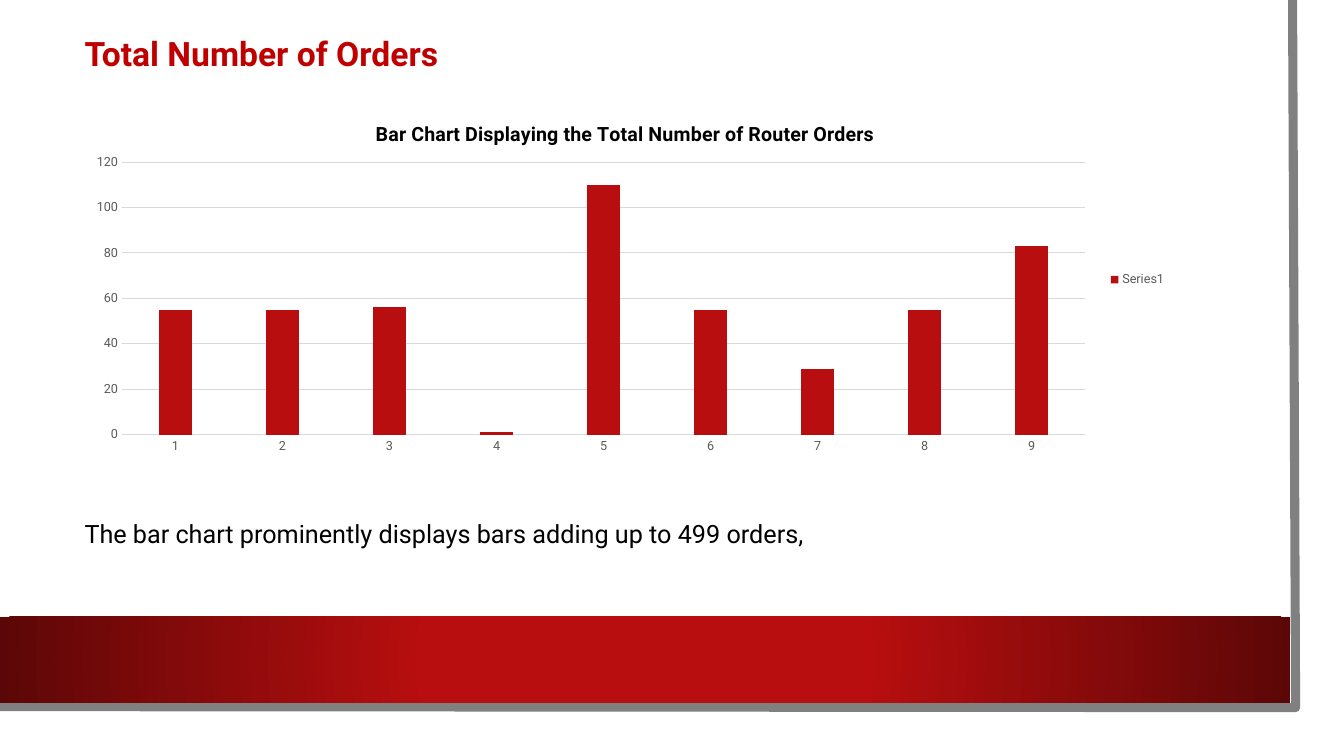
from dataclasses import dataclass

from lxml import etree
from pptx import Presentation
from pptx.chart.data import CategoryChartData
from pptx.dml.color import RGBColor
from pptx.enum.chart import XL_CHART_TYPE as ChartType
from pptx.enum.chart import XL_LEGEND_POSITION as LegendPosition
from pptx.enum.chart import XL_TICK_MARK as TickMark
from pptx.enum.shapes import MSO_SHAPE as Preset
from pptx.oxml import parse_xml
from pptx.oxml.ns import nsdecls, qn
from pptx.util import Emu, Pt

PX = 9144  # 100 px to the inch


@dataclass(frozen=True)
class Theme:
    font: str = "Roboto"
    paper: str = "FFFFFF"
    ink: str = "000000"
    heading: str = "C00000"
    accent: str = "B80E0F"
    accent_dark: str = "5C0707"
    frame: str = "808080"
    label: str = "595959"
    grid: str = "D9D9D9"
    heading_size: int = 24
    body_size: int = 18
    chart_title_size: int = 14
    label_size: int = 9


THEME = Theme()
ORDERS = [55, 55, 56, 1, 110, 55, 29, 55, 83]


def px(*lengths):
    return [Emu(length * PX) for length in lengths]


def rgb(code):
    return RGBColor.from_string(code)


def style_font(font, size, color, bold=False):
    font.name = THEME.font
    font.size = Pt(size)
    font.color.rgb = rgb(color)
    font.bold = bold


def add_panel(slide, box):
    panel = slide.shapes.add_shape(Preset.RECTANGLE, *px(*box))
    panel.shadow.inherit = False
    panel.line.fill.background()
    panel.fill.solid()
    panel.fill.fore_color.rgb = rgb(THEME.paper)
    return panel


def add_frame(slide, box):
    """Draw the grey edge along the right and bottom sides of the box."""
    left, top, width, height = box
    right, bottom = left + width, top + height
    builder = slide.shapes.build_freeform(right - 3, top, scale=PX)
    builder.add_line_segments([(right, bottom), (left, bottom - 1)], close=False)
    edge = builder.convert_to_shape()
    edge.shadow.inherit = False
    edge.fill.background()
    edge.line.color.rgb = rgb(THEME.frame)
    edge.line.width = Pt(6.5)


def add_band(slide, box):
    """Draw the red band, which darkens from its centre outwards."""
    band = add_panel(slide, box)
    stops = "".join(
        f'<a:gs pos="{percent * 1000}"><a:srgbClr val="{color}"/></a:gs>'
        for percent, color in ((34, THEME.accent), (100, THEME.accent_dark))
    )
    gradient = parse_xml(
        f'<a:gradFill {nsdecls("a")} rotWithShape="1"><a:gsLst>{stops}</a:gsLst>'
        '<a:path path="circle"><a:fillToRect l="50000" t="50000" r="50000" b="50000"/>'
        "</a:path></a:gradFill>"
    )
    properties = band.element.spPr
    properties.replace(properties.find(qn("a:solidFill")), gradient)


def add_text(slide, box, text, size, color, bold=False):
    frame = slide.shapes.add_textbox(*px(*box)).text_frame
    frame.word_wrap = True
    paragraph = frame.paragraphs[0]
    paragraph.text = text
    style_font(paragraph.font, size, color, bold)


def set_layout(part, index, **fractions):
    """Place a chart part by fractions of the chart's width and height."""
    for old in part.findall(qn("c:layout")):
        part.remove(old)
    layout = etree.Element(qn("c:layout"))
    manual = etree.SubElement(layout, qn("c:manualLayout"))
    if "w" in fractions:
        etree.SubElement(manual, qn("c:layoutTarget"), val="inner")
    for mode in ("xMode", "yMode"):
        etree.SubElement(manual, qn(f"c:{mode}"), val="edge")
    for name, fraction in fractions.items():
        etree.SubElement(manual, qn(f"c:{name}"), val=str(fraction))
    part.insert(index, layout)


def style_axis(axis):
    axis.major_tick_mark = axis.minor_tick_mark = TickMark.NONE
    style_font(axis.tick_labels.font, THEME.label_size, THEME.label)


def style_rule(line):
    line.color.rgb = rgb(THEME.grid)
    line.width = Pt(0.75)


def add_orders_chart(slide, box):
    data = CategoryChartData()
    data.categories = [str(number) for number in range(1, len(ORDERS) + 1)]
    data.add_series("Series1", ORDERS)
    chart = slide.shapes.add_chart(ChartType.COLUMN_CLUSTERED, *px(*box), data).chart
    style_font(chart.font, 10, THEME.ink)

    chart.has_title = True
    heading = chart.chart_title.text_frame.paragraphs[0]
    heading.text = "Bar Chart Displaying the Total Number of Router Orders"
    style_font(heading.font, THEME.chart_title_size, THEME.ink, bold=True)
    chart.chart_title.include_in_layout = False

    chart.has_legend = True
    chart.legend.position = LegendPosition.RIGHT
    chart.legend.include_in_layout = False
    style_font(chart.legend.font, THEME.label_size, THEME.label)

    style_axis(chart.category_axis)
    style_rule(chart.category_axis.format.line)
    orders_axis = chart.value_axis
    style_axis(orders_axis)
    orders_axis.minimum_scale, orders_axis.maximum_scale = 0, 120
    orders_axis.major_unit = 20
    orders_axis.format.line.fill.background()
    style_rule(orders_axis.major_gridlines.format.line)

    plot = chart.plots[0]
    plot.gap_width, plot.overlap = 219, -27
    plot.vary_by_categories = False
    bars = plot.series[0].format.fill
    bars.solid()
    bars.fore_color.rgb = rgb(THEME.accent)

    chart_root = chart.element if hasattr(chart, "element") else chart._chartSpace
    set_layout(chart_root.find(f".//{qn('c:title')}"), 1, x=0.27, y=0.05)
    set_layout(chart_root.find(f".//{qn('c:plotArea')}"), 0,
               x=0.043, y=0.175, w=0.874, h=0.753)


def add_backdrop(slide, box):
    left, top, width, height = box
    add_panel(slide, box)
    add_frame(slide, (left - 3, top, width - 22, height - 25))
    add_band(slide, (left, top + 612, width - 30, 85))


def add_orders_content(slide, box):
    left, top, width, _ = box
    add_text(slide, (left, top, 852, 91), "Total Number of Orders",
             THEME.heading_size, THEME.heading, bold=True)
    add_orders_chart(slide, (left, top + 70, 1093, 359))
    add_text(slide, (left, top + 481, width, 40),
             "The bar chart prominently displays bars adding up to 499 orders,",
             THEME.body_size, THEME.ink)


def main():
    deck = Presentation()
    deck.slide_width, deck.slide_height = px(1333, 750)
    slide = deck.slides.add_slide(deck.slide_layouts[6])
    add_backdrop(slide, (0, 0, 1310, 727))
    add_orders_content(slide, (74, 28, 1197, 521))
    deck.save("out.pptx")


if __name__ == "__main__":
    main()
